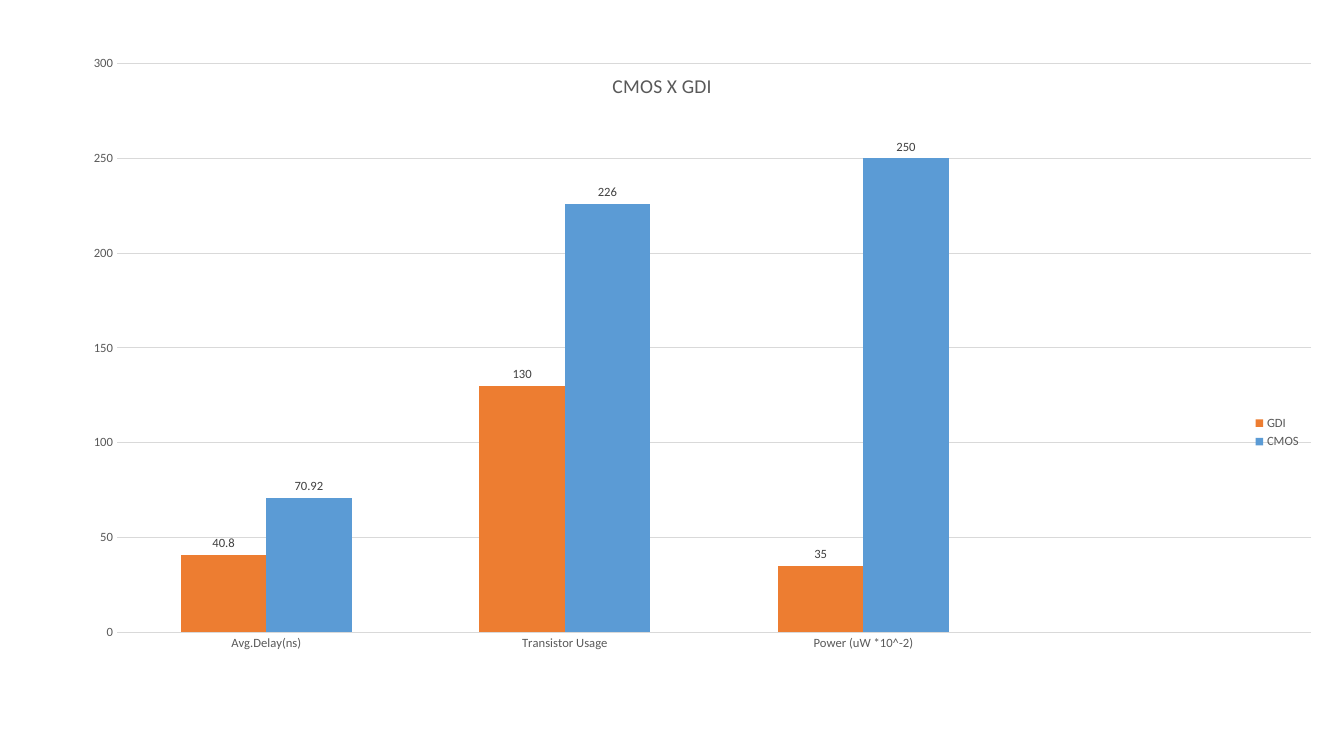
import pptx
import pptx.chart.data
import pptx.dml.color
import pptx.enum.chart
import pptx.oxml
import pptx.util

TITLE = "CMOS X GDI"
CATEGORIES = ["Avg.Delay(ns)", "Transistor Usage", "Power (uW *10^-2)", ""]
SERIES = [
    ("GDI", "ED7D31", (40.8, 130, 35, None)),
    ("CMOS", "5B9BD5", (70.92, 226, 250, None)),
]
CHART_BOX = (0.13, 0.48, 12.88, 7.62)
PLOT_BOX = {"x": 0.08, "y": 0.02, "w": 0.92, "h": 0.74}
THEME = {
    "font": "Calibri",
    "text": "595959",
    "label": "404040",
    "grid": "D9D9D9",
    "title_size": 14,
    "size": 9,
}
CHART_NS = "http://schemas.openxmlformats.org/drawingml/2006/chart"


def rgb(value):
    return pptx.dml.color.RGBColor.from_string(value)


def style_font(font, size=THEME["size"], color=THEME["text"]):
    font.name = THEME["font"]
    font.size = pptx.util.Pt(size)
    font.bold = False
    font.color.rgb = rgb(color)


def place_plot(chart):
    area = chart.element.xpath("c:chart/c:plotArea")[0]
    for old in area.xpath("c:layout"):
        area.remove(old)
    places = "".join(f'<c:{key} val="{val}"/>' for key, val in PLOT_BOX.items())
    area.insert(0, pptx.oxml.parse_xml(
        f'<c:layout xmlns:c="{CHART_NS}"><c:manualLayout>'
        '<c:layoutTarget val="inner"/><c:xMode val="edge"/><c:yMode val="edge"/>'
        f"{places}</c:manualLayout></c:layout>"
    ))


def style_axes(chart):
    for axis in (chart.category_axis, chart.value_axis):
        axis.major_tick_mark = pptx.enum.chart.XL_TICK_MARK.NONE
        axis.minor_tick_mark = pptx.enum.chart.XL_TICK_MARK.NONE
        axis.format.line.fill.background()
        style_font(axis.tick_labels.font)
    axis = chart.value_axis
    axis.minimum_scale, axis.maximum_scale, axis.major_unit = 0, 300, 50
    axis.has_major_gridlines = True
    line = axis.major_gridlines.format.line
    line.color.rgb = rgb(THEME["grid"])
    line.width = pptx.util.Pt(0.75)


def style_series(plot):
    plot.gap_width = 150
    plot.overlap = 0
    plot.vary_by_categories = False
    for series, (_, color, _) in zip(plot.series, SERIES):
        series.format.fill.solid()
        series.format.fill.fore_color.rgb = rgb(color)
        series.invert_if_negative = False
        labels = series.data_labels
        labels.show_value = True
        labels.position = pptx.enum.chart.XL_LABEL_POSITION.OUTSIDE_END
        style_font(labels.font, color=THEME["label"])


def add_comparison(slide):
    data = pptx.chart.data.CategoryChartData()
    data.categories = CATEGORIES
    for name, _, values in SERIES:
        data.add_series(name, values)
    chart = slide.shapes.add_chart(
        pptx.enum.chart.XL_CHART_TYPE.COLUMN_CLUSTERED,
        *map(pptx.util.Inches, CHART_BOX), data,
    ).chart
    style_font(chart.font)
    chart.has_title = True
    r = chart.chart_title.text_frame.paragraphs[0].add_run()
    r.text = TITLE
    style_font(r.font, THEME["title_size"])
    chart.has_legend = True
    chart.legend.position = pptx.enum.chart.XL_LEGEND_POSITION.RIGHT
    chart.legend.include_in_layout = False
    style_font(chart.legend.font)
    style_axes(chart)
    style_series(chart.plots[0])
    place_plot(chart)


def main():
    prs = pptx.Presentation()
    prs.slide_width = pptx.util.Inches(13.33)
    prs.slide_height = pptx.util.Inches(7.5)
    add_comparison(prs.slides.add_slide(prs.slide_layouts[6]))
    prs.save("out.pptx")


if __name__ == "__main__":
    main()
